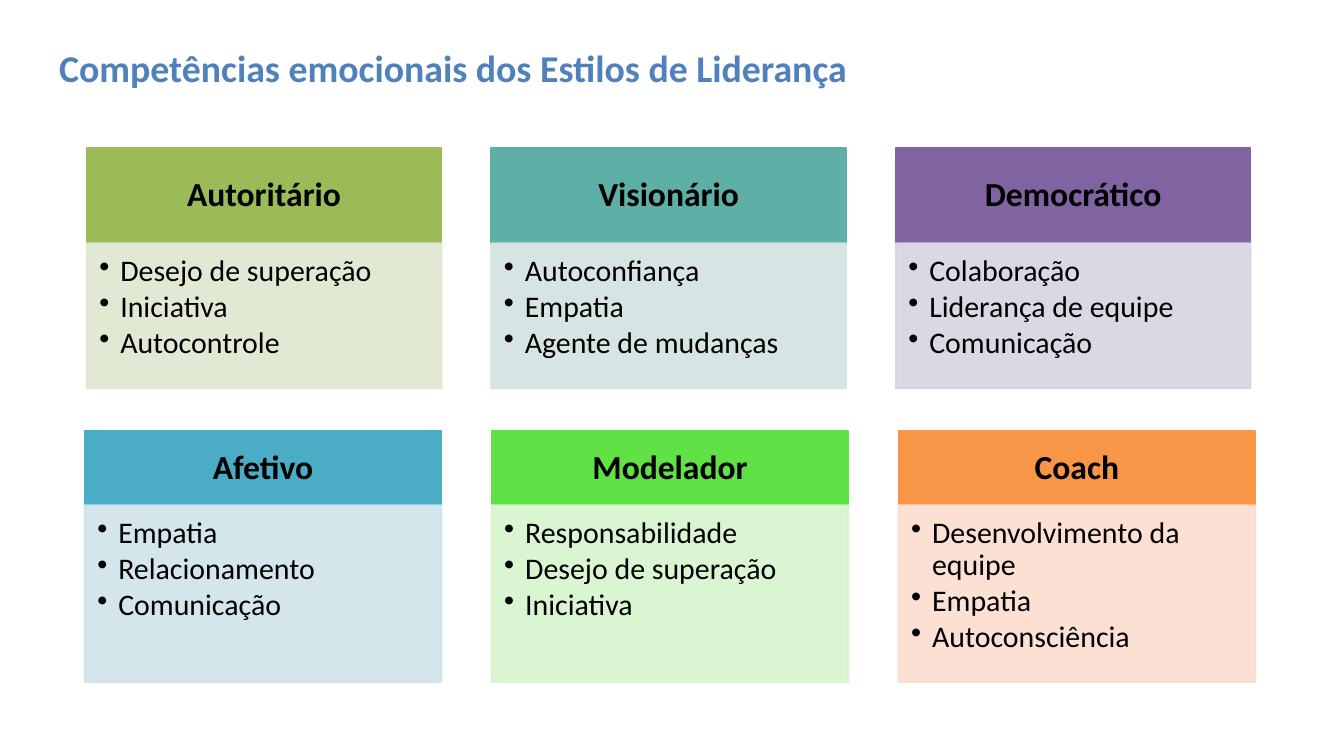
import pptx
import pptx.dml.color
import pptx.enum.shapes
import pptx.enum.text
import pptx.oxml.ns
import pptx.util
from lxml import etree

Pt = pptx.util.Pt
PP_ALIGN = pptx.enum.text.PP_ALIGN
ANCHOR = pptx.enum.text.MSO_ANCHOR

TITLE = "Competências emocionais dos Estilos de Liderança"
# Each style: name, header colour, body colour, competencies
ROWS = [
    {
        "left": 92.9, "top": 158.4, "pitch": 433.4, "width": 380.2,
        "header_height": 102.2, "body_height": 155.5,
        "styles": [
            ("Autoritário", "9BBB59", "DEE7D1",
             ["Desejo de superação", "Iniciativa", "Autocontrole"]),
            ("Visionário", "5EAFA6", "D2E3E2",
             ["Autoconfiança", "Empatia", "Agente de mudanças"]),
            ("Democrático", "8064A2", "D8D3E0",
             ["Colaboração", "Liderança de equipe", "Comunicação"]),
        ],
    },
    {
        "left": 90.7, "top": 462.2, "pitch": 436, "width": 382.3,
        "header_height": 79.2, "body_height": 189.4,
        "styles": [
            ("Afetivo", "4BACC6", "D0E3EA",
             ["Empatia", "Relacionamento", "Comunicação"]),
            ("Modelador", "60E146", "D6F4CE",
             ["Responsabilidade", "Desejo de superação", "Iniciativa"]),
            ("Coach", "F79646", "FCDDCF",
             ["Desenvolvimento da equipe", "Empatia", "Autoconsciência"]),
        ],
    },
]
BODY_OPACITY = 90
BULLET_INDENT = 22.5


def rgb(code):
    return pptx.dml.color.RGBColor.from_string(code)


def set_frame(frame, anchor, insets):
    """Wrap the text and set its anchor and left, top, right, bottom insets."""
    frame.word_wrap = True
    frame.vertical_anchor = anchor
    (frame.margin_left, frame.margin_top,
     frame.margin_right, frame.margin_bottom) = map(Pt, insets)


def add_run(paragraph, text, size, color, bold=False):
    run = paragraph.add_run()
    run.text = text
    run.font.name = "Calibri"
    run.font.size = Pt(size)
    run.font.bold = bold
    run.font.color.rgb = rgb(color)


def add_panel(slide, box, color, opacity=100):
    panel = slide.shapes.add_shape(
        pptx.enum.shapes.MSO_SHAPE.RECTANGLE, *map(Pt, box))
    panel.shadow.inherit = False
    panel.fill.solid()
    panel.fill.fore_color.rgb = rgb(color)
    panel.line.color.rgb = rgb(color)
    panel.line.width = Pt(2)
    if opacity < 100:
        qn = pptx.oxml.ns.qn
        for tone in panel.fill._xPr.iter(qn("a:srgbClr")):
            etree.SubElement(tone, qn("a:alpha"), val=str(opacity * 1000))
    return panel


def add_header(slide, box, name, color):
    frame = add_panel(slide, box, color).text_frame
    set_frame(frame, ANCHOR.MIDDLE, (20, 11.5, 20, 11.5))
    heading = frame.paragraphs[0]
    heading.alignment = PP_ALIGN.CENTER
    heading.line_spacing = 0.9
    add_run(heading, name, 36, "000000", bold=True)


def add_competencies(slide, box, competencies, color):
    frame = add_panel(slide, box, color, BODY_OPACITY).text_frame
    set_frame(frame, ANCHOR.TOP, (13.5, 13.5, 18, 20))
    for i, competency in enumerate(competencies):
        item = frame.add_paragraph() if i else frame.paragraphs[0]
        item.level = 1
        item.alignment = PP_ALIGN.LEFT
        item.line_spacing = 0.9
        item.space_after = Pt(4)
        properties = item._p.get_or_add_pPr()
        properties.set("marL", str(Pt(BULLET_INDENT)))
        properties.set("indent", str(-Pt(BULLET_INDENT)))
        etree.SubElement(properties, pptx.oxml.ns.qn("a:buChar"), char="•")
        add_run(item, competency, 32, "000000")


def main():
    deck = pptx.Presentation()
    deck.slide_width, deck.slide_height = Pt(1440), Pt(810)
    slide = deck.slides.add_slide(deck.slide_layouts[6])

    for row in ROWS:
        width, header_height = row["width"], row["header_height"]
        for column, (name, strong, pale, competencies) in enumerate(row["styles"]):
            left = row["left"] + column * row["pitch"]
            add_header(slide, (left, row["top"], width, header_height), name, strong)
            body = (left, row["top"] + header_height, width, row["body_height"])
            add_competencies(slide, body, competencies, pale)

    title = slide.shapes.add_textbox(Pt(56.2), Pt(25.2), Pt(1055.5), Pt(94.3)).text_frame
    set_frame(title, ANCHOR.MIDDLE, (7.2, 3.6, 7.2, 3.6))
    add_run(title.paragraphs[0], TITLE, 40.5, "4F81BD", bold=True)

    deck.save("out.pptx")


if __name__ == "__main__":
    main()
